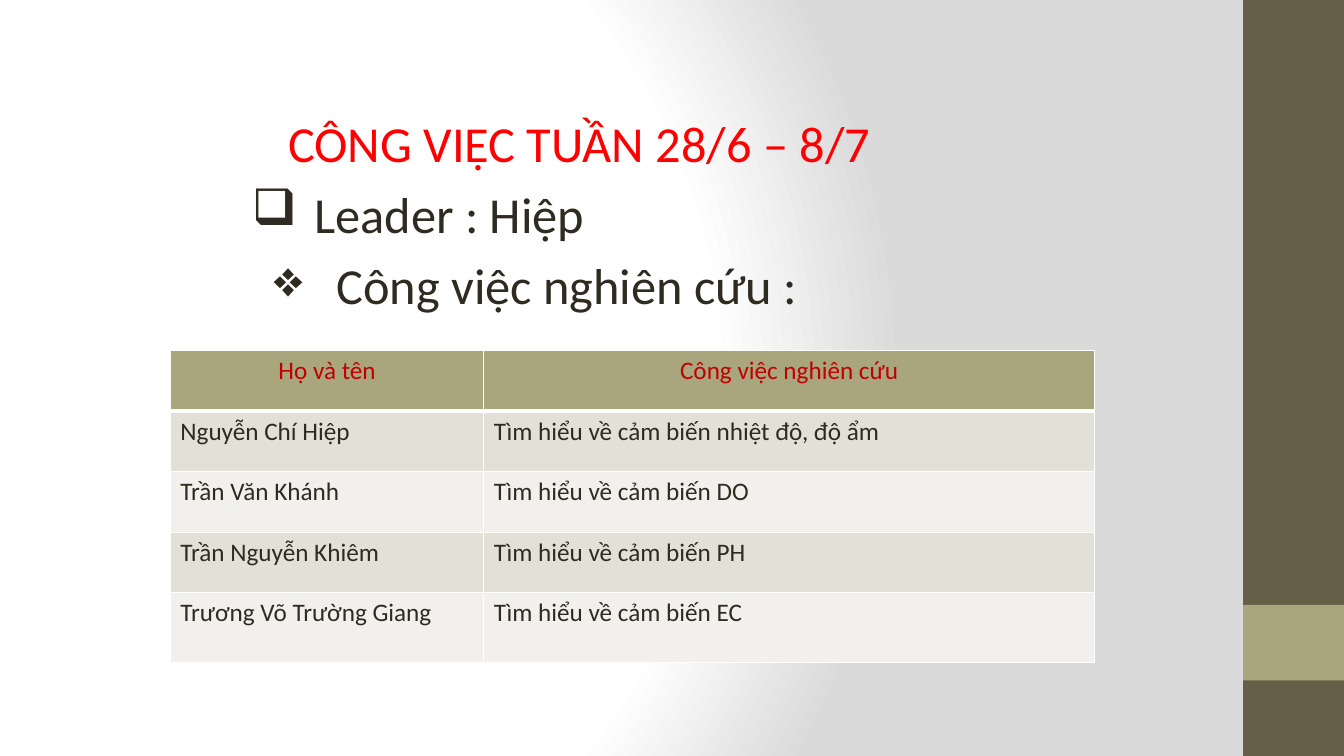
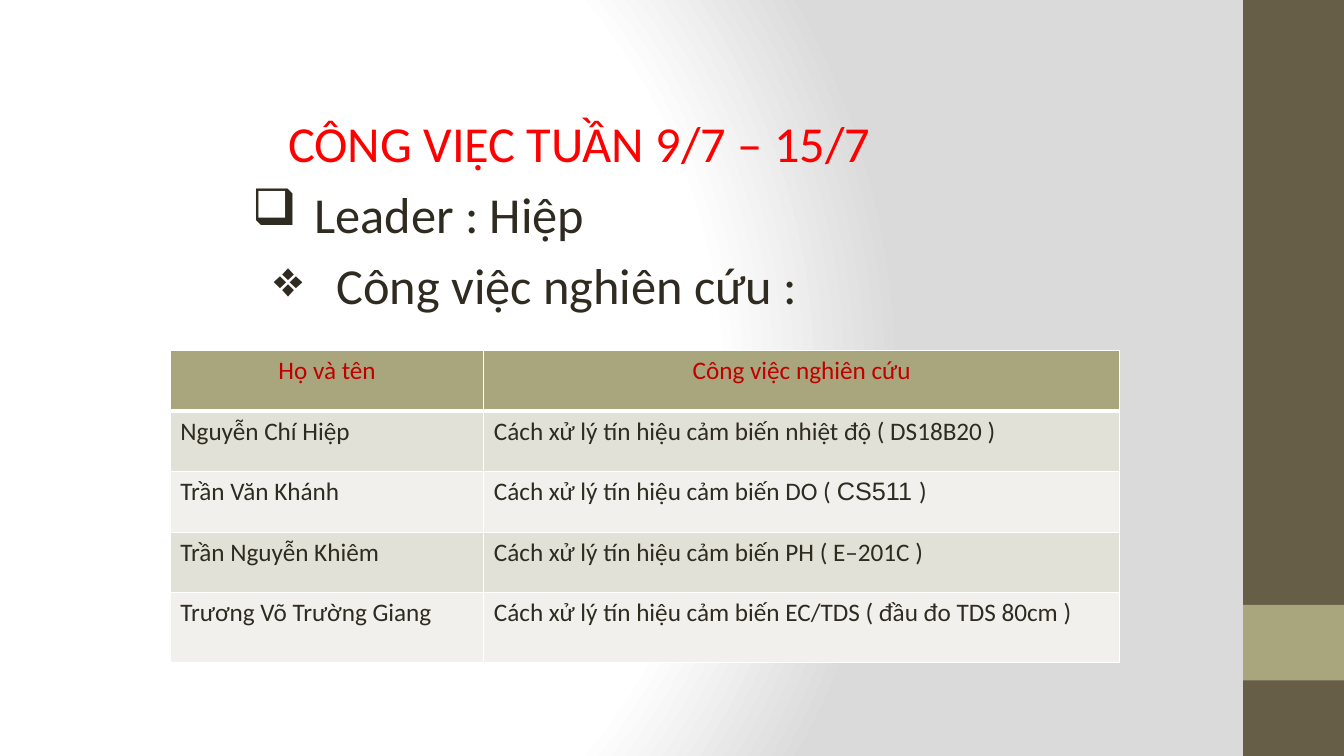
import dataclasses

import pptx
import pptx.dml.color
import pptx.enum.shapes
import pptx.enum.text
import pptx.oxml
import pptx.oxml.ns
import pptx.util

Pt = pptx.util.Pt
CENTER = pptx.enum.text.PP_ALIGN.CENTER


def rgb(value):
    return pptx.dml.color.RGBColor.from_string(value)


def xml(text):
    """Build one element, declaring the a: and p: namespaces on it."""
    head, mark, rest = text.partition(">")
    closing = "/" if head.endswith("/") else ""
    names = pptx.oxml.ns.nsdecls("a", "p")
    return pptx.oxml.parse_xml(f"{head.rstrip('/')} {names}{closing}{mark}{rest}")


@dataclasses.dataclass(frozen=True)
class Theme:
    font: str = "Calibri"
    code_font: str = "Arial"
    heading_size: int = 36
    table_size: int = 18
    title: str = "FF0000"
    text: str = "2F2B20"
    header_text: str = "C00000"
    side_band: str = "675E47"
    accent: str = "A9A57C"
    row_fills: tuple = ("E2E1D7", "F1F0EC")
    border: str = "FFFFFF"
    glow: str = "FFFFFF"
    edge: str = "DADADA"


class Report:
    width, height = 960, 540
    band_width = 72
    heading_top, heading_pitch = 76.3, 50.8

    def __init__(self, theme):
        self.theme = theme
        self.deck = pptx.Presentation()
        self.deck.slide_width = Pt(self.width)
        self.deck.slide_height = Pt(self.height)
        self.page = None

    def add_page(self):
        self.page = self.deck.slides.add_slide(self.deck.slide_layouts[6])
        self.add_background()
        self.add_band(0, self.height, self.theme.side_band)
        self.add_band(432, 54, self.theme.accent)

    def add_background(self):
        stops = [(0, self.theme.glow), (75, self.theme.glow), (100, self.theme.edge)]
        stop_list = "".join(
            f'<a:gs pos="{at * 1000}"><a:srgbClr val="{color}"/></a:gs>'
            for at, color in stops)
        self.page.element.cSld.insert(0, xml(
            f'<p:bg><p:bgPr><a:gradFill rotWithShape="1"><a:gsLst>{stop_list}</a:gsLst>'
            '<a:path path="circle">'
            '<a:fillToRect l="20000" t="50000" r="100000" b="50000"/></a:path>'
            '</a:gradFill><a:effectLst/></p:bgPr></p:bg>'))

    def add_band(self, top, height, color):
        band = self.page.shapes.add_shape(
            pptx.enum.shapes.MSO_SHAPE.RECTANGLE, Pt(self.width - self.band_width),
            Pt(top), Pt(self.band_width), Pt(height))
        band.shadow.inherit = False
        band.fill.solid()
        band.fill.fore_color.rgb = rgb(color)
        band.line.fill.background()

    def fill_paragraph(self, para, text, size, color):
        """Set text and font; in a tuple of spans, every second one is a part code."""
        para.font.name = self.theme.font
        para.font.size = Pt(size)
        para.font.color.rgb = rgb(color)
        spans = (text,) if isinstance(text, str) else text
        for index, words in enumerate(spans):
            span = para.add_run()
            span.text = words
            if index % 2:
                span.font.name = self.theme.code_font

    def add_heading(self, line, left, width, text, color, bullet=None):
        top = self.heading_top + line * self.heading_pitch
        box = self.page.shapes.add_textbox(Pt(left), Pt(top), Pt(width), Pt(51))
        box.text_frame.word_wrap = True
        para = box.text_frame.paragraphs[0]
        if bullet:
            para.level = 1
            props = para._p.get_or_add_pPr()
            props.set("marL", str(Pt(80.6)))
            props.set("indent", str(Pt(-44.6)))
            props.append(xml(f'<a:buChar char="{bullet}"/>'))
        self.fill_paragraph(para, text, self.theme.heading_size, color)

    def style_cell(self, cell, fill, bottom):
        props = cell._tc.get_or_add_tcPr()
        for side, weight in (("L", 1), ("R", 1), ("T", 1), ("B", bottom)):
            props.append(xml(
                f'<a:ln{side} w="{Pt(weight)}"><a:solidFill>'
                f'<a:srgbClr val="{self.theme.border}"/></a:solidFill></a:ln{side}>'))
        cell.fill.solid()
        cell.fill.fore_color.rgb = rgb(fill)

    def add_table(self, rows, col_widths):
        heights = [43.2] * (len(rows) - 1) + [50]
        table = self.page.shapes.add_table(
            len(rows), len(col_widths), Pt(121.7), Pt(250.6),
            Pt(sum(col_widths)), Pt(sum(heights))).table
        table.first_row = table.horz_banding = False
        for column, width in zip(table.columns, col_widths):
            column.width = Pt(width)
        for index, (row, height) in enumerate(zip(rows, heights)):
            table.rows[index].height = Pt(height)
            header = index == 0
            fill = self.theme.accent if header else self.theme.row_fills[(index - 1) % 2]
            color = self.theme.header_text if header else self.theme.text
            for cell, text in zip(table.rows[index].cells, row):
                self.style_cell(cell, fill, 3 if header else 1)
                para = cell.text_frame.paragraphs[0]
                if header:
                    para.alignment = CENTER
                self.fill_paragraph(para, text, self.theme.table_size, color)

    def add_week(self, dates, tasks, task_width):
        self.add_page()
        self.add_heading(0, 198.7, 602, f"CÔNG VIỆC TUẦN {dates}", self.theme.title)
        self.add_heading(1, 136.8, 355, "Leader : Hiệp", self.theme.text, "❑")
        self.add_heading(2, 152.6, 629, "Công việc nghiên cứu :", self.theme.text, "❖")
        rows = [("Họ và tên", "Công việc nghiên cứu"), *zip(MEMBERS, tasks)]
        self.add_table(rows, (223.9, task_width))


MEMBERS = ("Nguyễn Chí Hiệp", "Trần Văn Khánh", "Trần Nguyễn Khiêm",
           "Trương Võ Trường Giang")
SENSORS = ("nhiệt độ, độ ẩm", "DO", "PH", "EC")
SIGNAL = "Cách xử lý tín hiệu cảm biến"


def main():
    report = Report(Theme())
    report.add_week("28/6 – 8/7", [f"Tìm hiểu về cảm biến {name}" for name in SENSORS], 436.3)
    report.add_week("9/7 – 15/7", [
        f"{SIGNAL} nhiệt độ ( DS18B20 )",
        (f"{SIGNAL} DO ( ", "CS511 ", ")"),
        f"{SIGNAL} PH ( E–201C )",
        f"{SIGNAL} EC/TDS ( đầu đo TDS 80cm )",
    ], 454.3)
    report.deck.save("out.pptx")


if __name__ == "__main__":
    main()
